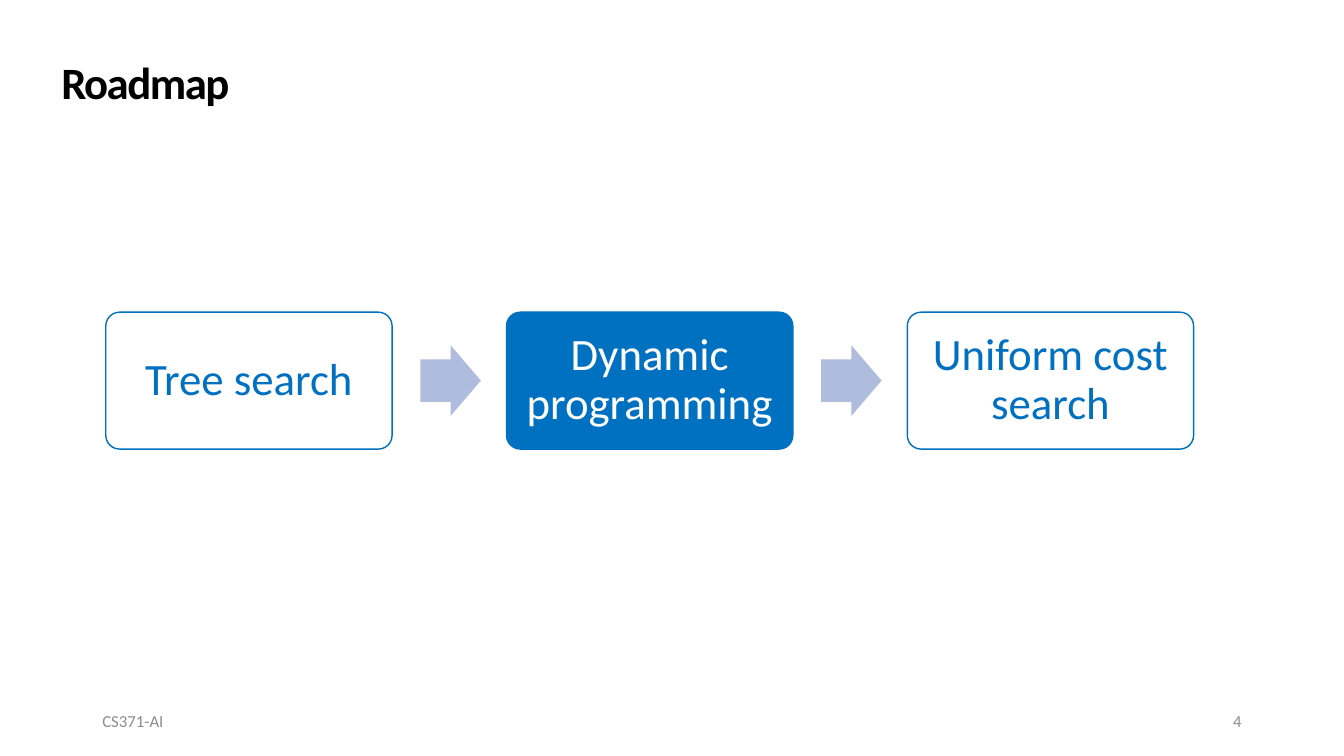
from pptx import Presentation
from pptx.dml.color import RGBColor
from pptx.enum import shapes, text
from pptx.util import Pt

FONT = "Calibri"
BLUE, PALE_BLUE, WHITE, BLACK, GRAY = "0070C0", "B0BCDE", "FFFFFF", "000000", "8C8C8C"
ALIGN = text.PP_ALIGN


def color(hex_value):
    return RGBColor.from_string(hex_value)


def write(shape, content, size, hex_color, bold=False, align=ALIGN.LEFT,
          anchor=text.MSO_ANCHOR.MIDDLE, line_spacing=1.0, tracking=None, inset=None):
    """Fill a shape's text frame; tracking is in points, inset applies to all sides."""
    frame = shape.text_frame
    frame.word_wrap = True
    frame.vertical_anchor = anchor
    if inset is not None:
        frame.margin_left = frame.margin_right = Pt(inset)
        frame.margin_top = frame.margin_bottom = Pt(inset)
    paragraph = frame.paragraphs[0]
    paragraph.alignment = align
    paragraph.line_spacing = line_spacing
    run = paragraph.add_run()
    run.text = content
    run.font.name = FONT
    run.font.size = Pt(size)
    run.font.bold = bold
    run.font.color.rgb = color(hex_color)
    if tracking is not None:
        run.font._element.set("spc", str(round(tracking * 100)))


def add_text(slide, box, content, size, hex_color, **text_format):
    text_box = slide.shapes.add_textbox(*map(Pt, box))
    write(text_box, content, size, hex_color, **text_format)


def add_preset(slide, preset, box, adjustments, fill=None, line=None):
    shape = slide.shapes.add_shape(preset, *map(Pt, box))
    shape.shadow.inherit = False
    for index, value in enumerate(adjustments):
        shape.adjustments[index] = value
    if fill:
        shape.fill.solid()
        shape.fill.fore_color.rgb = color(fill)
    else:
        shape.fill.background()
    if line:
        shape.line.color.rgb = color(line)
        shape.line.width = Pt(1)
    else:
        shape.line.fill.background()
    return shape


def add_title(slide, box, content):
    add_text(slide, box, content, 32, BLACK, bold=True, line_spacing=0.9,
             tracking=-1.1, anchor=text.MSO_ANCHOR.TOP)


def add_roadmap(slide, box, steps, current):
    """Spread the steps evenly over the box, with arrows between them."""
    left, top, width, height = box
    step_width, arrow_width, arrow_height, arrow_gap = 204.5, 43.2, 50.4, 20.2
    pitch = (width - step_width) / (len(steps) - 1)
    for index, step in enumerate(steps):
        x = left + index * pitch
        if index:
            arrow_box = (x - pitch + step_width + arrow_gap,
                         top + (height - arrow_height) / 2, arrow_width, arrow_height)
            add_preset(slide, shapes.MSO_SHAPE.RIGHT_ARROW, arrow_box, (0.6, 0.5),
                       fill=PALE_BLUE)
        active = index == current
        card = add_preset(slide, shapes.MSO_SHAPE.ROUNDED_RECTANGLE,
                          (x, top, step_width, height), (0.1,),
                          fill=BLUE if active else None, line=BLUE)
        write(card, step, 32, WHITE if active else BLUE, align=ALIGN.CENTER,
              line_spacing=0.9, inset=9.4)


def add_footer(slide, box, course, number):
    left, top, width, height = box
    field_width = 216
    add_text(slide, (left, top, field_width, height), course, 12, GRAY)
    add_text(slide, (left + width - field_width, top, field_width, height), number, 12,
             GRAY, align=ALIGN.RIGHT)


def main():
    presentation = Presentation()
    presentation.slide_width, presentation.slide_height = Pt(960), Pt(540)
    slide = presentation.slides.add_slide(presentation.slide_layouts[6])
    add_footer(slide, (66, 500.4, 828, 28.8), "CS371-AI", "4")
    add_title(slide, (36.7, 39.6, 828, 64.8), "Roadmap")
    add_roadmap(slide, (75.6, 223, 777, 97.8),
                ["Tree search", "Dynamic programming", "Uniform cost search"], current=1)
    presentation.save("out.pptx")


if __name__ == "__main__":
    main()
